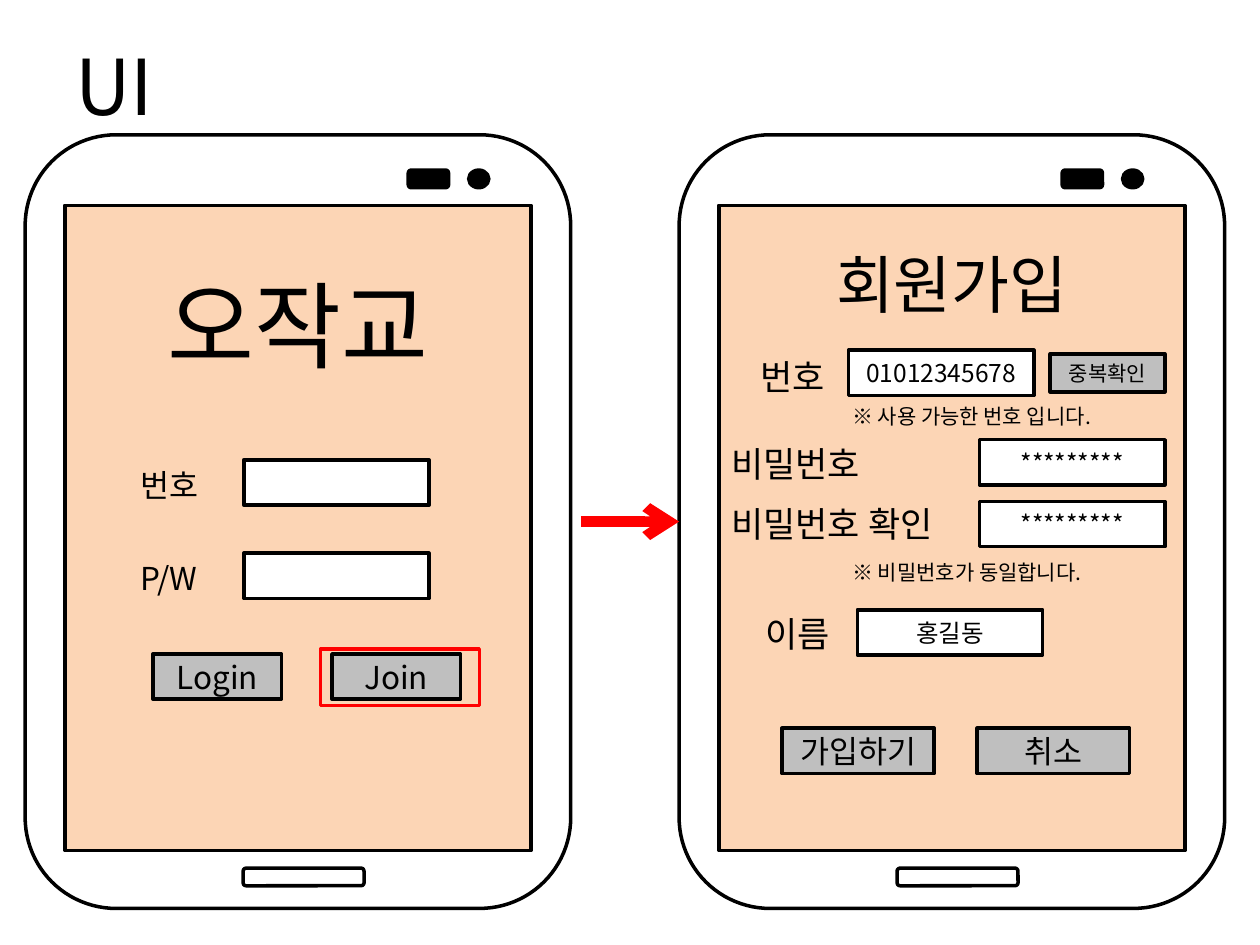
from lxml import etree
from pptx import Presentation
from pptx.dml.color import RGBColor
from pptx.enum.shapes import MSO_CONNECTOR, MSO_SHAPE
from pptx.enum.text import MSO_ANCHOR, MSO_AUTO_SIZE, PP_ALIGN
from pptx.oxml.ns import qn
from pptx.util import Inches, Pt

RECT = MSO_SHAPE.RECTANGLE
ROUND = MSO_SHAPE.ROUNDED_RECTANGLE
OVAL = MSO_SHAPE.OVAL
STRAIGHT = MSO_CONNECTOR.STRAIGHT
MIDDLE, TOP = MSO_ANCHOR.MIDDLE, MSO_ANCHOR.TOP
LEFT, CENTER = PP_ALIGN.LEFT, PP_ALIGN.CENTER
GROW = MSO_AUTO_SIZE.SHAPE_TO_FIT_TEXT
FIXED = MSO_AUTO_SIZE.NONE

FONT = "Noto Sans CJK KR"
COLORS = {
    "ink": "000000",
    "paper": "FFFFFF",
    "screen": "FCD5B5",
    "button": "BFBFBF",
    "accent": "FF0000",
}
FIELD_W, FIELD_H = 1.47, 0.36


def rgb(name):
    return RGBColor.from_string(COLORS[name])


def write(frame, text, size=18, align=LEFT, anchor=TOP, fit=FIXED):
    frame.word_wrap = True
    frame.auto_size = fit
    frame.vertical_anchor = anchor
    paragraph = frame.paragraphs[0]
    paragraph.alignment = align
    run = paragraph.add_run()
    run.text = text
    run.font.size = Pt(size)
    run.font.name = FONT
    run.font.color.rgb = rgb("ink")
    east_asian = etree.SubElement(run.font._element, qn("a:ea"))
    east_asian.set("typeface", FONT)


def add_label(slide, x, y, w, h, text, **text_format):
    label = slide.shapes.add_textbox(Inches(x), Inches(y), Inches(w), Inches(h))
    write(label.text_frame, text, **{"fit": GROW, **text_format})


def add_box(slide, x, y, w, h, fill="paper", line="ink", kind=RECT, text="", size=14):
    box = slide.shapes.add_shape(kind, Inches(x), Inches(y), Inches(w), Inches(h))
    box.shadow.inherit = False
    if fill:
        box.fill.solid()
        box.fill.fore_color.rgb = rgb(fill)
    else:
        box.fill.background()
    box.line.color.rgb = rgb(line)
    box.line.width = Pt(2)
    if text:
        write(box.text_frame, text, size=size, align=CENTER, anchor=MIDDLE)


def add_phone(slide, x, y, w, h):
    add_box(slide, x, y, w, h, kind=ROUND)
    add_box(slide, x + 1.73, y + 5.82, 0.96, 0.14, kind=ROUND)
    add_box(slide, x + 3.52, y + 0.28, 0.16, 0.14, fill="ink", kind=OVAL)
    add_box(slide, x + 3.04, y + 0.28, 0.32, 0.14, fill="ink", kind=ROUND)
    screen = (x + 0.315, y + 0.56, w - 0.63, h - 1.02)
    add_box(slide, *screen, fill="screen")
    return screen


def add_login(slide, x, y, w, h):
    add_label(slide, x + (w - 2.52) / 2, y + 0.44, 2.52, 0.89, "오작교", size=54, align=CENTER)
    for row, caption in enumerate(("번호", "P/W")):
        top = y + 2.02 + 0.74 * row
        add_label(slide, x + 0.5, top, 0.94, FIELD_H, caption)
        add_box(slide, x + 1.42, top, FIELD_W, FIELD_H)
    for column, caption in enumerate(("Login", "Join")):
        add_box(slide, x + 0.7 + 1.42 * column, y + 3.56, 1.02, FIELD_H,
                fill="button", text=caption, size=18)
    add_box(slide, x + 2.03, y + 3.52, 1.26, 0.45, fill=None, line="accent")


def add_signup(slide, x, y, w, h):
    add_label(slide, x + (w - 2.52) / 2, y + 0.27, 2.52, 0.62, "회원가입", size=36, align=CENTER)
    rows = [
        ("번호", 0.23, 1.14, 0.8, 1.03, 1.15, "01012345678"),
        ("비밀번호", 0, 1.83, 1.35, 2.07, 1.86, "*********"),
        ("비밀번호 확인", 0, 2.31, 1.95, 2.07, 2.35, "*********"),
        ("이름", 0.27, 3.18, 0.8, 1.1, 3.21, "홍길동"),
    ]
    for caption, left, top, width, field_left, field_top, value in rows:
        add_label(slide, x + left, y + top, width, 0.38, caption, size=20)
        add_box(slide, x + field_left, y + field_top, FIELD_W, FIELD_H, text=value)
    add_box(slide, x + 2.63, y + 1.18, 0.91, 0.3, fill="button", text="중복확인", size=12)
    for top, hint in ((1.52, "※ 사용 가능한 번호 입니다."), (2.76, "※ 비밀번호가 동일합니다.")):
        add_label(slide, x + 0.96, y + top, 2.42, 0.27, hint, size=12)
    for column, caption in enumerate(("가입하기", "취소")):
        add_box(slide, x + 0.5 + 1.55 * column, y + 4.15, 1.21, FIELD_H,
                fill="button", text=caption, size=18)


def add_flow_arrow(slide, x1, x2, y):
    arrow = slide.shapes.add_connector(STRAIGHT, Inches(x1), Inches(y), Inches(x2), Inches(y))
    arrow.line.color.rgb = rgb("accent")
    arrow.line.width = Pt(6)
    head = etree.SubElement(arrow.line._get_or_add_ln(), qn("a:tailEnd"))
    head.set("type", "arrow")
    etree.SubElement(arrow._element.spPr, qn("a:effectLst"))


def main():
    deck = Presentation()
    deck.slide_width, deck.slide_height = Inches(10), Inches(7.5)
    slide = deck.slides.add_slide(deck.slide_layouts[6])
    add_label(slide, 0.5, 0.05, 9, 1.25, "UI", size=44, anchor=MIDDLE, fit=FIXED)
    for left, add_content in ((0.2, add_login), (5.39, add_signup)):
        screen = add_phone(slide, left, 1.07, 4.33, 6.14)
        add_content(slide, *screen)
    add_flow_arrow(slide, 4.61, 5.39, 4.14)
    deck.save("out.pptx")


if __name__ == "__main__":
    main()
